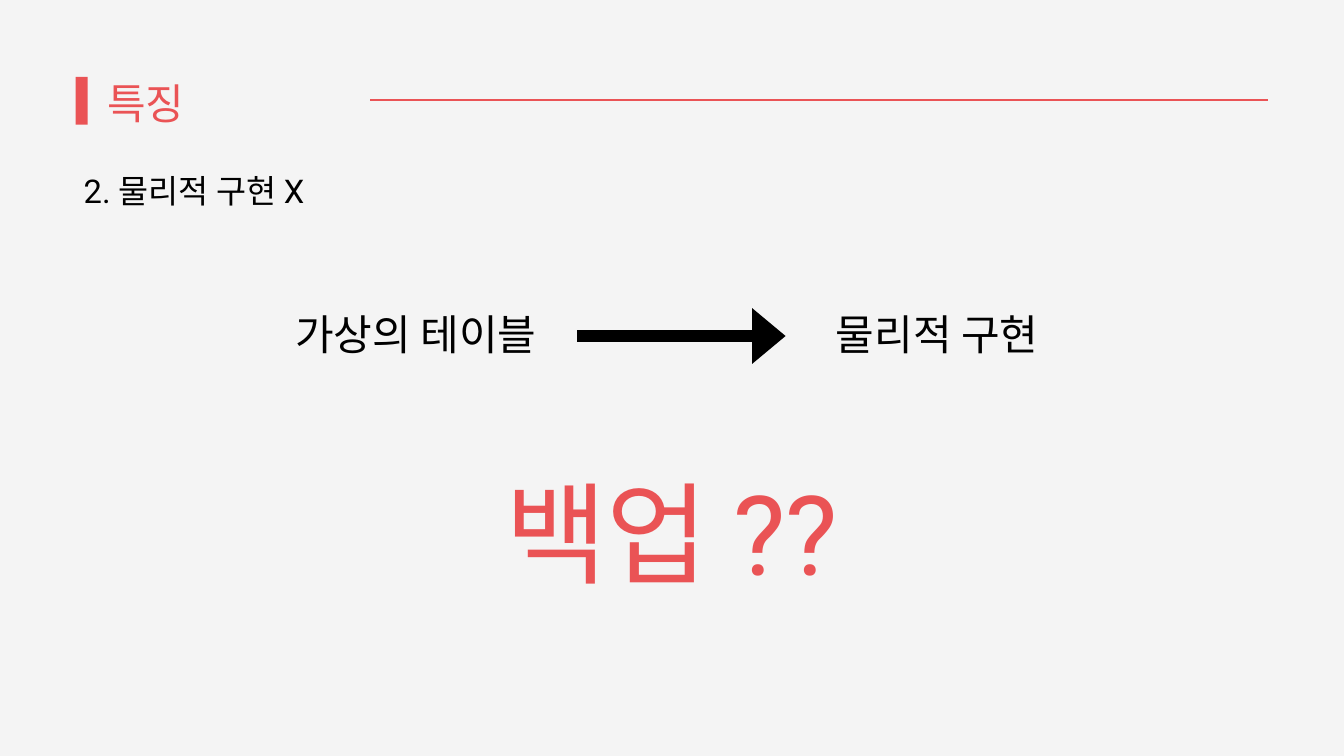
from lxml.etree import SubElement
from pptx import Presentation
from pptx.dml.color import RGBColor
from pptx.enum.shapes import MSO_CONNECTOR, MSO_SHAPE
from pptx.enum.text import MSO_AUTO_SIZE, PP_ALIGN
from pptx.oxml.ns import qn
from pptx.util import Pt

COLORS = {"background": "F4F4F4", "accent": "EA5355", "ink": "000000"}
FONT = "Roboto"
LINE_HEIGHT = 1.3


def color(name):
    return RGBColor.from_string(COLORS[name])


def add_text(slide, text, box, size, color_name, align=PP_ALIGN.LEFT):
    label = slide.shapes.add_textbox(*map(Pt, box))
    frame = label.text_frame
    frame.margin_left = frame.margin_top = frame.margin_right = frame.margin_bottom = 0
    frame.word_wrap = True
    frame.auto_size = MSO_AUTO_SIZE.SHAPE_TO_FIT_TEXT
    paragraph = frame.paragraphs[0]
    paragraph.alignment = align
    paragraph.line_spacing = Pt(size * LINE_HEIGHT)
    run = paragraph.add_run()
    run.text = text
    run.font.name = FONT
    run.font.size = Pt(size)
    run.font.color.rgb = color(color_name)


def add_bar(slide, box, color_name):
    bar = slide.shapes.add_shape(MSO_SHAPE.RECTANGLE, *map(Pt, box))
    bar.shadow.inherit = False
    bar.fill.solid()
    bar.fill.fore_color.rgb = color(color_name)
    bar.line.fill.background()


def add_line(slide, left, right, y, width, color_name, arrow=False):
    rule = slide.shapes.add_connector(
        MSO_CONNECTOR.STRAIGHT, Pt(left), Pt(y), Pt(right), Pt(y))
    rule.line.width = Pt(width)
    rule.line.color.rgb = color(color_name)
    properties = rule._element.spPr
    if arrow:
        SubElement(properties.find(qn("a:ln")), qn("a:tailEnd"),
                   type="triangle", w="lg", len="med")
    SubElement(properties, qn("a:effectLst"))


def main():
    deck = Presentation()
    deck.slide_width, deck.slide_height = Pt(1440), Pt(810)
    slide = deck.slides.add_slide(deck.slide_layouts[6])
    slide.background.fill.solid()
    slide.background.fill.fore_color.rgb = color("background")

    add_bar(slide, (81, 82.5, 13, 51), "accent")
    add_text(slide, "특징", (115, 78, 379.5, 57), 45, "accent")
    add_line(slide, 396.5, 1359, 107.3, 1.5, "accent")

    add_text(slide, " 2. 물리적 구현 X", (81, 180, 592.5, 44), 35, "ink")

    add_text(slide, "가상의 테이블", (315.5, 326, 260, 56), 45, "ink", PP_ALIGN.CENTER)
    add_text(slide, "물리적 구현 ", (894, 326, 230.5, 56), 45, "ink", PP_ALIGN.CENTER)
    add_line(slide, 618.5, 841.7, 360, 12, "ink", arrow=True)

    add_text(slide, "백업 ??", (538.5, 486.7, 362, 152), 118.6, "accent", PP_ALIGN.CENTER)

    deck.save("out.pptx")


if __name__ == "__main__":
    main()
